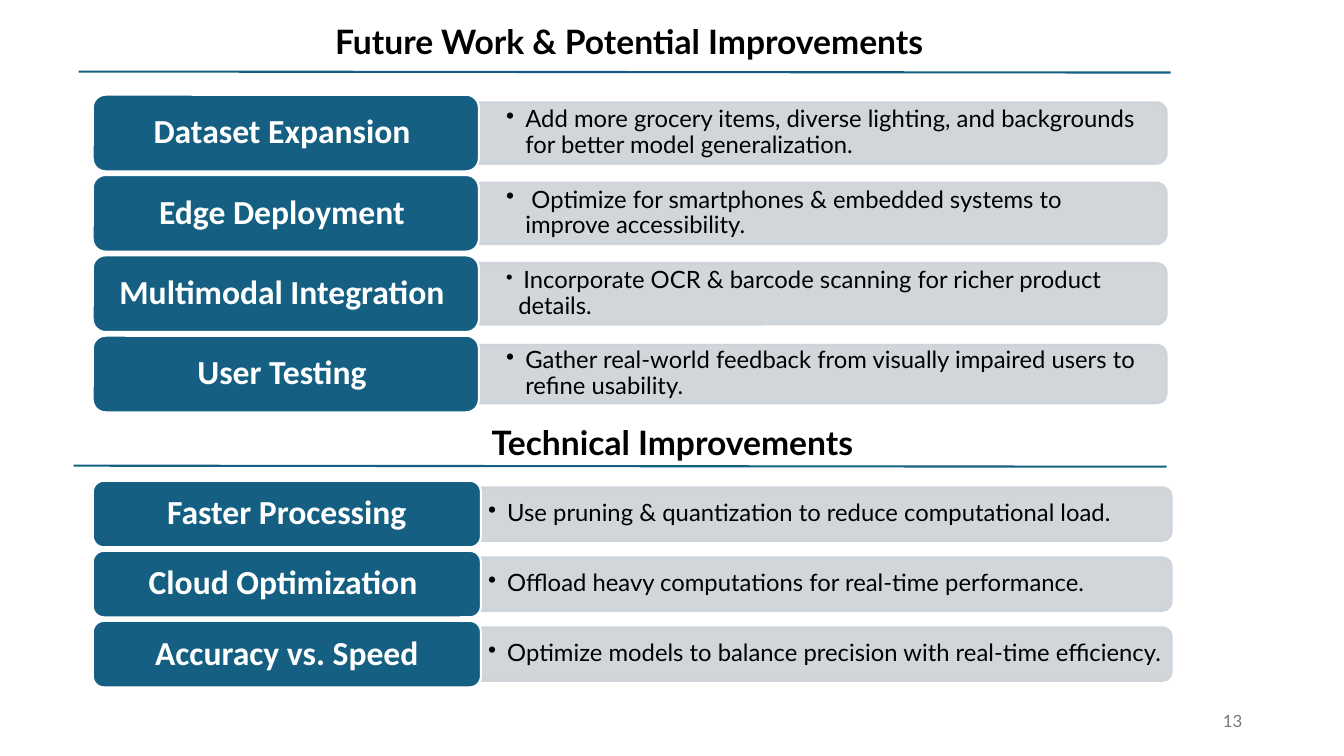
from lxml import etree
from pptx import Presentation
from pptx.dml.color import RGBColor
from pptx.enum import shapes, text
from pptx.oxml import ns
from pptx.util import Inches, Pt

COLORS = {"teal": "156082", "bar": "CCD2D8", "white": "FFFFFF", "black": "000000", "number": "797979"}

HEADINGS = [
    ("Future Work & Potential Improvements", (3.22, 0.02, 6.04, 0.83), text.MSO_ANCHOR.MIDDLE, 0.9),
    ("Technical Improvements", (3.35, 4.14, 6.64, 0.5), text.MSO_ANCHOR.TOP, 1.0),
]
RULES = [((0.78, 0.71), (11.61, 0.72)), ((0.73, 4.62), (11.57, 4.63))]
PAGE_NUMBER = ("13", (9.42, 6.95, 3, 0.4))

FUTURE_WORK = [
    ("Dataset Expansion ",
     [("Add more grocery items, diverse lighting, and backgrounds for better model generalization.", 17)], 0.19, 0.61),
    ("Edge Deployment ",
     [(" Optimize for smartphones & embedded systems to improve accessibility.", 17)], 0.19, 0.61),
    ("Multimodal Integration ",
     [(" ", 14), ("Incorporate OCR & barcode scanning for richer product details.", 17)], 0.12, 0.61),
    ("User Testing ",
     [("Gather real-world feedback from visually impaired users to refine usability.", 17)], 0.19, 0.58),
]
TECHNICAL = [
    ("Faster Processing", [("Use pruning & quantization to reduce computational load.", 17)], 0.19, 0.53),
    ("Cloud Optimization ", [("Offload heavy computations for real-time performance.", 17)], 0.19, 0.53),
    ("Accuracy vs. Speed", [("Optimize models to balance precision with real-time efficiency.", 17)], 0.19, 0.53),
]
GROUPS = [
    dict(rows=FUTURE_WORK, top=0.94, pitch=0.797, label=(3.83, 0.76), bar_width=6.82, inset=0.27),
    dict(rows=TECHNICAL, top=4.77, pitch=0.695, label=(3.85, 0.66), bar_width=6.85, inset=0.07),
]
LABEL_LEFT = 0.92

deck = Presentation()
deck.slide_width, deck.slide_height = Inches(13.33), Inches(7.5)
slide = deck.slides.add_slide(deck.slide_layouts[6])


def rgb(name):
    return RGBColor.from_string(COLORS[name])


def write(frame, runs, font="Lato", color="black", bold=False, align=text.PP_ALIGN.LEFT,
          anchor=text.MSO_ANCHOR.MIDDLE, spacing=0.9, hang=None, inset=(0.1, 0.05)):
    frame.word_wrap = True
    frame.vertical_anchor = anchor
    frame.margin_left = frame.margin_right = Inches(inset[0])
    frame.margin_top = frame.margin_bottom = Inches(inset[1])
    paragraph = frame.paragraphs[0]
    paragraph.alignment = align
    paragraph.line_spacing = spacing
    if hang:
        properties = paragraph._p.get_or_add_pPr()
        properties.set("marL", str(Inches(hang)))
        properties.set("indent", str(-Inches(hang)))
        etree.SubElement(properties, ns.qn("a:buChar"), char="•")
    for words, size in runs:
        run = paragraph.add_run()
        run.text = words
        run.font.name, run.font.size, run.font.bold = font, Pt(size), bold
        run.font.color.rgb = rgb(color)


def add_text(box, runs, **style):
    write(slide.shapes.add_textbox(*map(Inches, box)).text_frame, runs, **style)


def add_block(kind, box, fill, line, opacity=None):
    block = slide.shapes.add_shape(kind, *map(Inches, box))
    block.shadow.inherit = False
    block.fill.solid()
    block.fill.fore_color.rgb = rgb(fill)
    block.line.color.rgb = rgb(line)
    block.line.width = Pt(1.5)
    if opacity:
        for paint in block._element.spPr.iter(ns.qn("a:srgbClr")):
            etree.SubElement(paint, ns.qn("a:alpha"), val=str(opacity * 1000))
    return block


def add_row(group, index, label, details, hang, bar_height):
    label_width, label_height = group["label"]
    width = group["bar_width"]
    top = group["top"] + index * group["pitch"]
    middle = top + label_height / 2
    bar_left = LABEL_LEFT + label_width
    bar_box = (bar_left + (width - bar_height) / 2, middle - width / 2, bar_height, width)
    bar = add_block(shapes.MSO_SHAPE.ROUND_2_SAME_RECTANGLE, bar_box, "bar", "bar", opacity=90)
    bar.rotation = 90
    add_text((bar_left, middle - bar_height / 2, width - 0.03, bar_height), details,
             hang=hang, inset=(group["inset"], 0))
    badge = add_block(shapes.MSO_SHAPE.ROUNDED_RECTANGLE,
                      (LABEL_LEFT, top, label_width, label_height), "teal", "white")
    write(badge.text_frame, [(label, 24)], font="Calibri", color="white", bold=True,
          align=text.PP_ALIGN.CENTER)


for heading, box, anchor, spacing in HEADINGS:
    add_text(box, [(heading, 24)], bold=True, align=text.PP_ALIGN.CENTER, anchor=anchor, spacing=spacing)

for group in GROUPS:
    for index, row in enumerate(group["rows"]):
        add_row(group, index, *row)

for start, end in RULES:
    rule = slide.shapes.add_connector(shapes.MSO_CONNECTOR.STRAIGHT, *map(Inches, start + end))
    rule.line.color.rgb = rgb("teal")
    rule.line.width = Pt(1.5)
    etree.SubElement(rule._element.spPr, ns.qn("a:effectLst"))

number, number_box = PAGE_NUMBER
add_text(number_box, [(number, 12)], color="number", align=text.PP_ALIGN.RIGHT, spacing=1.0)

deck.save("out.pptx")
